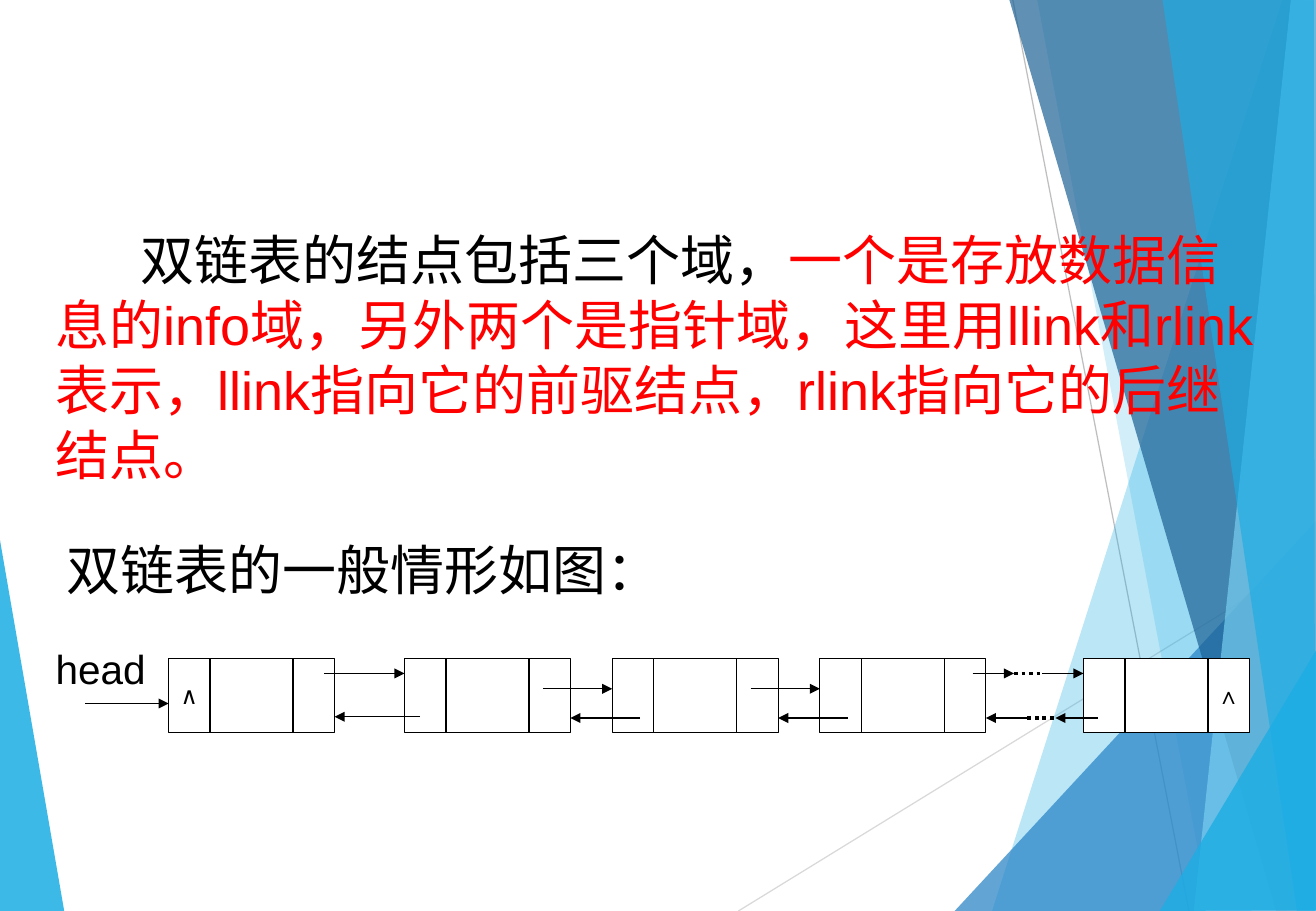
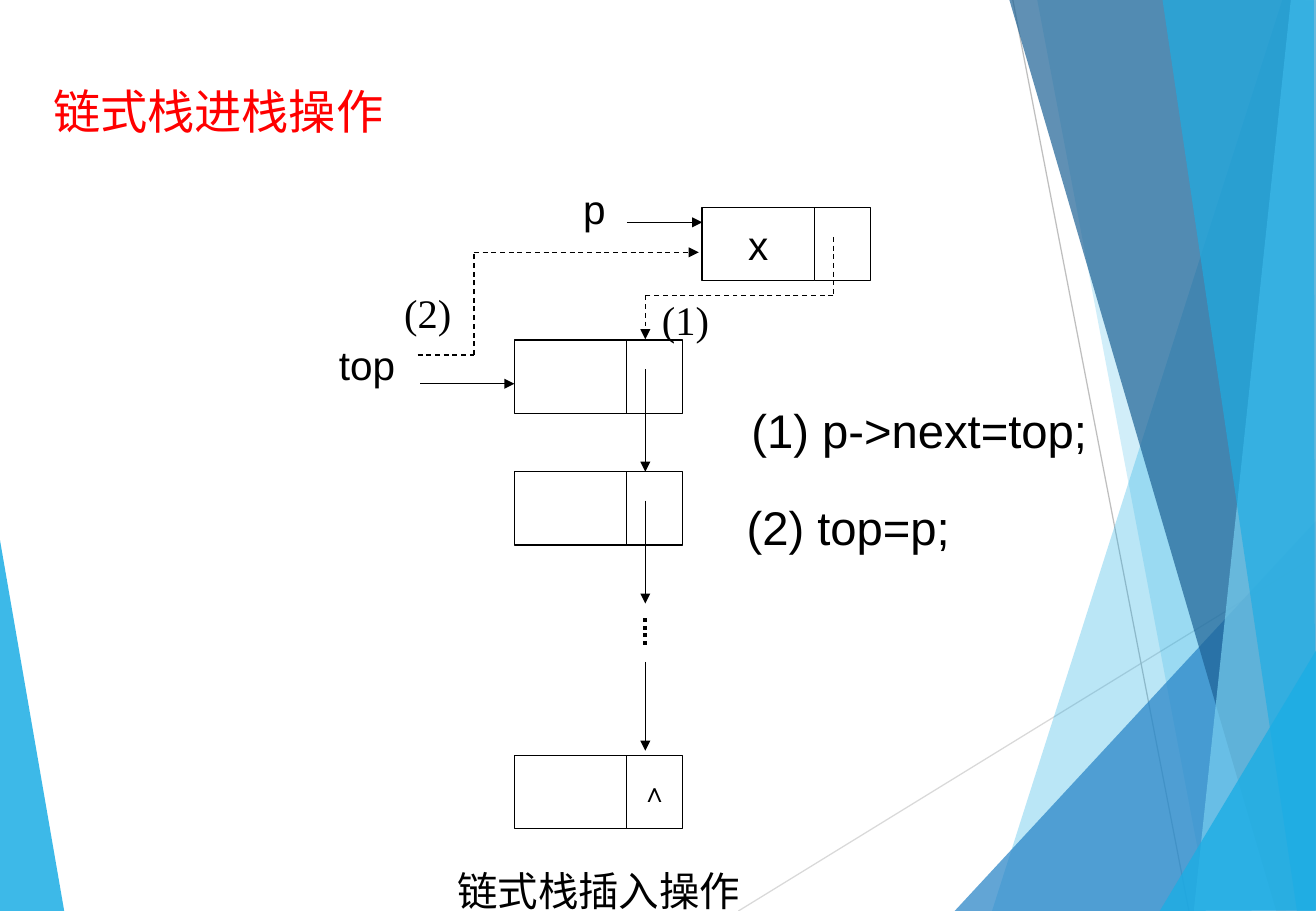
from lxml.etree import SubElement
from pptx import Presentation
from pptx.dml.color import RGBColor
from pptx.enum.dml import MSO_LINE
from pptx.enum.shapes import MSO_CONNECTOR, MSO_SHAPE
from pptx.enum.text import MSO_ANCHOR, PP_ALIGN
from pptx.oxml.ns import qn
from pptx.util import Pt

SLIDE_W, SLIDE_H = 780.25, 540
BLACK, WHITE, RED = "000000", "FFFFFF", "FF0000"
SANS, SERIF, SYMBOL = "Arial", "Times New Roman", "Roboto"
SKY, BLUE, NAVY, PALE = "1CADE4", "2683C6", "1D6295", "77CEEF"

LEFT_WEDGE = (SKY, 85, [(-0.7, 316), (38.2, 540.5), (-0.7, 540)])
RAYS = [("D9D9D9", (437.8, 540), (781, 329)), ("BFBFBF", (600.5, 0), (704.9, 540))]
RIGHT_FACETS = [
    (SKY, 30, [(760.3, 0), (588.2, 540), (781, 540.5), (780.5, 0.5)]),
    (SKY, 20, [(614.9, -0.5), (717.1, 540), (780.5, 540), (780.5, -0.5)]),
    (BLUE, 72, [(566, 540), (780, 309), (780.5, 540)]),
    (NAVY, 70, [(598.3, -0.5), (756.7, 540), (781, 539.5), (781, -0.5)]),
    (PALE, 70, [(765.4, -0.5), (707.8, 540), (781, 540), (780.5, -0.5)]),
    (SKY, 65, [(689.2, -0.5), (769, 540), (779.8, 540), (779, -0.5)]),
    (SKY, 80, [(687.6, 540), (780.5, 385.2), (781, 539.5)]),
]


def rgb(value):
    """Turn a hex string into a colour."""
    return RGBColor.from_string(value)


def facet(slide, color, opacity, corners):
    """Draw one translucent polygon of the backdrop."""
    points = [(Pt(x), Pt(y)) for x, y in corners]
    builder = slide.shapes.build_freeform(*points[0], scale=1.0)
    builder.add_line_segments(points[1:], close=True)
    polygon = builder.convert_to_shape()
    polygon.shadow.inherit = False
    polygon.fill.solid()
    polygon.fill.fore_color.rgb = rgb(color)
    polygon.line.fill.background()
    fill_color = polygon.element.spPr.find(".//" + qn("a:srgbClr"))
    SubElement(fill_color, qn("a:alpha")).set("val", str(opacity * 1000))


def line(slide, start, end, color=BLACK, width=0.75, dash=None, arrow=False):
    """Draw a straight line, optionally dashed or with an arrowhead at its end."""
    connector = slide.shapes.add_connector(
        MSO_CONNECTOR.STRAIGHT, *[Pt(value) for value in (*start, *end)])
    connector.line.color.rgb = rgb(color)
    connector.line.width = Pt(width)
    if dash is not None:
        connector.line.dash_style = dash
    properties = connector.element.spPr
    if arrow:
        SubElement(properties.find(qn("a:ln")), qn("a:tailEnd")).set("type", "triangle")
    SubElement(properties, qn("a:effectLst"))


def dashed_path(slide, corners):
    """Draw a dashed right-angled arrow through the given corners."""
    last = len(corners) - 2
    for index, (start, end) in enumerate(zip(corners, corners[1:])):
        line(slide, start, end, dash=MSO_LINE.DASH, arrow=index == last)


def label(slide, left, top, width, runs, size=24, font=SANS, align=PP_ALIGN.LEFT,
          indent=0, lines=1):
    """Place one paragraph made of (text, colour) runs."""
    height = lines * size * 1.2 + 7.2
    box = slide.shapes.add_textbox(Pt(left), Pt(top), Pt(width), Pt(height))
    box.text_frame.word_wrap = True
    paragraph = box.text_frame.paragraphs[0]
    paragraph.alignment = align
    if indent:
        paragraph._p.get_or_add_pPr().set("indent", str(Pt(indent)))
    paragraph.font.size = Pt(size)
    paragraph.font.name = font
    for text, color in runs:
        run = paragraph.add_run()
        run.text = text
        run.font.color.rgb = rgb(color)


def cell(slide, left, top, width, height, text="", size=14, font=SERIF):
    """Draw one field of a node."""
    field = slide.shapes.add_shape(
        MSO_SHAPE.RECTANGLE, Pt(left), Pt(top), Pt(width), Pt(height))
    field.shadow.inherit = False
    field.fill.solid()
    field.fill.fore_color.rgb = rgb(WHITE)
    field.line.color.rgb = rgb(BLACK)
    field.line.width = Pt(0.75)
    if text:
        frame = field.text_frame
        frame.word_wrap = False
        frame.vertical_anchor = MSO_ANCHOR.MIDDLE
        paragraph = frame.paragraphs[0]
        paragraph.text = text
        paragraph.alignment = PP_ALIGN.CENTER
        paragraph.font.size = Pt(size)
        paragraph.font.name = font
        paragraph.font.color.rgb = rgb(BLACK)


def backdrop(slide):
    """Draw the facets and rays that every slide shares."""
    facet(slide, *LEFT_WEDGE)
    for color, start, end in RAYS:
        line(slide, start, end, color)
    for color, opacity, corners in RIGHT_FACETS:
        facet(slide, color, opacity, corners)


def double_list(slide, left, top):
    """Draw the doubly linked list with its first node at the given corner."""
    link, height = 24.6, 43.9
    node = 4 * link
    offsets = [0, 139.8, 263, 386.1, 542.4]
    for index, offset in enumerate(offsets):
        x = left + offset
        cell(slide, x + link, top, 2 * link, height)
        cell(slide, x + 3 * link, top, link, height, "∧" if index == 4 else "")
        cell(slide, x, top, link, height, "∧" if index == 0 else "", font=SYMBOL)

    arrows = [(-49.6, 0, 26.7), (92.2, offsets[1], 8.9), (149.1, node, 34.6),
              (476.7, 501.2, 8.9), (517.8, offsets[4], 8.9),
              (550.9, 525.7, 35.3), (509.1, offsets[3] + node, 35.3)]
    for here, following in zip(offsets[1:3], offsets[2:4]):
        arrows += [(here + 82.1, following, 18), (following + 16.6, here + node, 35.3)]
    for start, end, y in arrows:
        line(slide, (left + start, top + y), (left + end, top + y), arrow=True)
    for start, y in [(501.2, 8.9), (509.1, 35.3)]:
        line(slide, (left + start, top + y), (left + start + 16.6, top + y),
             width=2.25, dash=MSO_LINE.ROUND_DOT)
    label(slide, left - 74.1, top - 12.2, 82, [("head", BLACK)])


def stack_push(slide, left, top):
    """Draw the linked stack and its new node, with the stack's left edge at left."""
    data, link, height = 66.5, 33.2, 43.4
    nodes = [(0, 78.5, "", ""), (0, 156.5, "", ""), (0, 324.7, "", "∧"), (111.3, 0, "x", "")]
    for x, y, value, pointer in nodes:
        cell(slide, left + x, top + y, data, height, value, 24, SANS)
        cell(slide, left + x + data, top + y, link, height, pointer, 16)

    chain = left + 77.6
    for start, end in [(95.8, 156.5), (173.7, 234.7), (269.3, 321.9)]:
        line(slide, (chain, top + start), (chain, top + end), arrow=True)
    line(slide, (chain, top + 243.4), (chain, top + 260.7), width=2.25, dash=MSO_LINE.ROUND_DOT)
    for start, end, y in [(-55.7, 0, 104.4), (66.7, 111.3, 8.7)]:
        line(slide, (left + start, top + y), (left + end, top + y), arrow=True)

    new_next = [(189, 17.3), (189, 52), (77.6, 52), (77.6, 78)]
    new_top = [(-57.4, 87.3), (-24, 87.3), (-24, 26.5), (109.3, 26.5)]
    for corners in (new_next, new_top):
        dashed_path(slide, [(left + x, top + y) for x, y in corners])

    for text, x, y, width, font in [
            ("top", -111.1, 74.7, 78, SANS), ("p", 33.6, -17.3, 55, SANS),
            ("(1)", 80.4, 48.5, 91, SERIF), ("(2)", -72.5, 44.1, 60, SERIF)]:
        label(slide, left + x, top + y, width, [(text, BLACK)], font=font)
    label(slide, left - 166.7, top + 386.9, 433.4, [("链式栈插入操作", BLACK)],
          align=PP_ALIGN.CENTER)


def double_list_slide(slide):
    """Explain the fields of a doubly linked node and show the list."""
    label(slide, 25.9, 131, 734.4, [
        ("双链表的结点包括三个域，", BLACK),
        ("一个是存放数据信息的info域，另外两个是指针域，这里用llink和rlink表示，"
         "llink指向它的前驱结点，rlink指向它的后继结点。", RED)], size=32, indent=50.2, lines=4)
    label(slide, 32.4, 314.6, 734.4, [("双链表的一般情形如图：", BLACK)], size=32)
    double_list(slide, 100, 390.3)


def stack_push_slide(slide):
    """Show the push operation and its two statements."""
    label(slide, 24.5, 45.4, 318, [("链式栈进栈操作", RED)], size=28)
    stack_push(slide, 305, 123.1)
    label(slide, 438.5, 234.2, 233.3, [("(1) p->next=top;", BLACK)], size=28)
    label(slide, 435.6, 291.8, 285.8, [("(2) top=p;", BLACK)], size=28)


def main():
    """Build and save the presentation."""
    presentation = Presentation()
    presentation.slide_width, presentation.slide_height = Pt(SLIDE_W), Pt(SLIDE_H)
    for fill_slide in (double_list_slide, stack_push_slide):
        slide = presentation.slides.add_slide(presentation.slide_layouts[6])
        backdrop(slide)
        fill_slide(slide)
    presentation.save("out.pptx")


if __name__ == "__main__":
    main()
